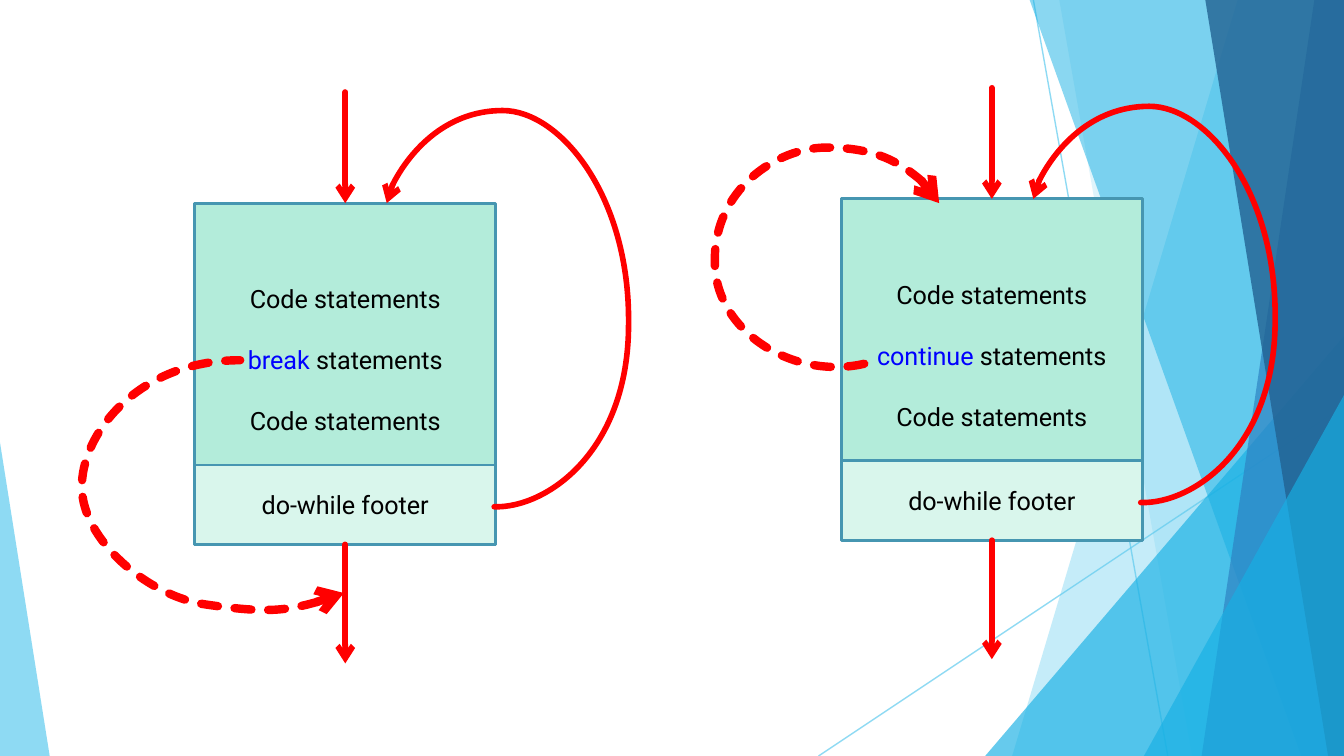
import pptx
import pptx.util
import pptx.dml.color
import pptx.enum.dml
import pptx.enum.shapes
import pptx.enum.text
import pptx.oxml
import pptx.oxml.ns

Cm, Pt = pptx.util.Cm, pptx.util.Pt
RGB = pptx.dml.color.RGBColor
Shape = pptx.enum.shapes.MSO_SHAPE
qn = pptx.oxml.ns.qn

PAGE_W, PAGE_H = 25.4, 14.29
BOX_W, BOX_H, FOOTER_H = 5.69, 6.45, 1.5
FONT = "Roboto"

WHITE = RGB(0xFF, 0xFF, 0xFF)
BLACK = RGB(0, 0, 0)
KEYWORD = RGB(0, 0, 0xFF)
RED = RGB(0xFF, 0, 0)
BODY = RGB(0xB3, 0xEC, 0xDA)
FOOTER = RGB(0xD9, 0xF6, 0xEC)
BORDER = RGB(0x46, 0x96, 0xB1)
SKY = RGB(0x5F, 0xCB, 0xEF)
CYAN = RGB(0x17, 0xB0, 0xE4)
BLUE = RGB(0x2E, 0x83, 0xC3)
NAVY = RGB(0x22, 0x62, 0x92)

# Curves: a start point, then three points for each Bezier segment,
# in cm from the top left corner of the code box
LOOP = [(3.63, 0), (3.66, -0.53), (4.7, -1.75), (5.82, -1.75), (6.91, -1.75),
        (8.23, -0.13), (8.2, 2.29), (8.2, 4.7), (6.65, 5.77), (5.66, 5.74)]
BREAK_JUMP = [(2.82, 7.37), (1.96, 7.7), (1.35, 7.75), (0.23, 7.59), (-0.89, 7.44),
              (-2.13, 6.35), (-2.13, 5.38), (-2.16, 4.42), (-1.12, 2.97), (0.86, 2.97)]
CONTINUE_JUMP = [(1.85, 0.08), (1.65, -0.43), (0.66, -0.97), (-0.28, -0.97),
                 (-1.22, -0.97), (-2.41, -0.18), (-2.39, 1.19), (-2.39, 2.54),
                 (-0.81, 3.51), (0.61, 3.07)]


def set_alpha(fill_parent, percent):
    color = fill_parent.find(qn("a:solidFill"))[0]
    color.append(pptx.oxml.parse_xml(
        f'<a:alpha {pptx.oxml.ns.nsdecls("a")} val="{percent * 1000}"/>'))


def add_line(page, start, end, color, width):
    line = page.shapes.add_connector(
        pptx.enum.shapes.MSO_CONNECTOR.STRAIGHT,
        *(Cm(value) for value in (*start, *end)))
    line.line.color.rgb = color
    line.line.width = Pt(width)
    line._element.spPr.append(pptx.oxml.parse_xml(
        f'<a:effectLst {pptx.oxml.ns.nsdecls("a")}/>'))
    return line


def add_arrowhead(shape, tag):
    outline = shape.line._get_or_add_ln()
    outline.set("cap", "rnd")
    outline.append(pptx.oxml.parse_xml(
        f'<a:{tag} {pptx.oxml.ns.nsdecls("a")} type="arrow"/>'))


def add_arrow(page, start, end):
    add_arrowhead(add_line(page, start, end, RED, 3), "tailEnd")


def build_outline(page, points, close):
    start, *rest = [(Cm(x), Cm(y)) for x, y in points]
    builder = page.shapes.build_freeform(*start)
    builder.add_line_segments(rest, close=close)
    shape = builder.convert_to_shape()
    shape.shadow.inherit = False
    return shape


def add_curve(page, left, top, points, width, dashed=False):
    """Draw a Bezier curve with an arrowhead at its first point."""
    curve = build_outline(page, [(left + x, top + y) for x, y in points], False)
    segments = list(curve._element.iter(qn("a:lnTo")))
    for first in range(0, len(segments), 3):
        trio = segments[first:first + 3]
        bezier = pptx.oxml.parse_xml(f'<a:cubicBezTo {pptx.oxml.ns.nsdecls("a")}/>')
        trio[0].addprevious(bezier)
        for segment in trio:
            bezier.append(segment[0])
            segment.getparent().remove(segment)
    curve.fill.background()
    curve.line.color.rgb = RED
    curve.line.width = Pt(width)
    if dashed:
        curve.line.dash_style = pptx.enum.dml.MSO_LINE.SQUARE_DOT
    add_arrowhead(curve, "headEnd")


def paint_facet(shape, color, alpha):
    shape.shadow.inherit = False
    shape.fill.solid()
    shape.fill.fore_color.rgb = color
    set_alpha(shape._element.spPr, alpha)
    shape.line.fill.background()


def add_band(page, top_x, foot_x, color, alpha):
    """A facet with a slanted left edge that fills up to the right page edge."""
    corners = [(top_x, 0), (PAGE_W, 0), (PAGE_W, PAGE_H), (foot_x, PAGE_H)]
    paint_facet(build_outline(page, corners, True), color, alpha)


def add_corner(page, left, top, right, apex, color, alpha):
    """A triangle that stands on the bottom page edge."""
    corner = page.shapes.add_shape(Shape.ISOSCELES_TRIANGLE, Cm(left), Cm(top),
                                   Cm(right - left), Cm(PAGE_H - top))
    corner.adjustments[0] = apex
    paint_facet(corner, color, alpha)


def add_backdrop(page):
    for start, end in [((19.53, 0), (22.07, PAGE_H)),
                       ((PAGE_W, 7.67), (15.47, PAGE_H))]:
        ray = add_line(page, start, end, SKY, 0.75)
        set_alpha(ray.line._get_or_add_ln(), 70)
    add_band(page, 23.39, 19.13, SKY, 36)
    add_band(page, 20.02, 22.53, SKY, 20)
    add_corner(page, 18.62, 6.35, PAGE_W, 1, CYAN, 66)
    add_band(page, 19.46, 24.59, CYAN, 50)
    add_band(page, 24.84, 22.71, BLUE, 70)
    add_band(page, 22.78, 25.1, NAVY, 80)
    add_corner(page, 21.62, 7.47, PAGE_W, 1, CYAN, 66)
    add_corner(page, 0, 8.36, 0.94, 0, SKY, 70)


def add_box(page, kind, left, top, height, fill, lines):
    """A bordered box; each line is a list of (text, color) spans."""
    box = page.shapes.add_shape(kind, Cm(left), Cm(top), Cm(BOX_W), Cm(height))
    box.shadow.inherit = False
    box.fill.solid()
    box.fill.fore_color.rgb = fill
    box.line.color.rgb = BORDER
    box.line.width = Pt(1.5)
    frame = box.text_frame
    frame.word_wrap = True
    frame.vertical_anchor = pptx.enum.text.MSO_ANCHOR.MIDDLE
    for index, spans in enumerate(lines):
        para = frame.add_paragraph() if index else frame.paragraphs[0]
        para.alignment = pptx.enum.text.PP_ALIGN.CENTER
        para.font.name = FONT
        para.font.size = Pt(13.5)
        if index:
            para.space_before = Pt(16.6)
        for text, color in spans:
            span = para.add_run()
            span.text = text
            span.font.color.rgb = color
    return box


def add_loop_diagram(page, left, top, keyword):
    statement = [("Code statements", BLACK)]
    jump = [(keyword, KEYWORD), (" statements", BLACK)]
    body = add_box(page, Shape.FLOWCHART_PROCESS, left, top, BOX_H, BODY,
                   [statement, jump, statement])
    body.text_frame.margin_bottom = Cm(0.66)
    add_box(page, Shape.RECTANGLE, left, top + BOX_H - FOOTER_H, FOOTER_H, FOOTER,
            [[("do-while footer", BLACK)]])
    # Way out, way in, and the way back to the start
    middle, bottom = left + BOX_W / 2, top + BOX_H
    add_arrow(page, (middle, bottom), (middle, bottom + 2.25))
    add_arrow(page, (middle, top - 2.1), (middle, top))
    add_curve(page, left, top, LOOP, 3)


def main():
    deck = pptx.Presentation()
    deck.slide_width, deck.slide_height = Cm(PAGE_W), Cm(PAGE_H)
    page = deck.slides.add_slide(deck.slide_layouts[6])
    page.background.fill.solid()
    page.background.fill.fore_color.rgb = WHITE

    add_backdrop(page)
    for left, top, keyword, jump in [(3.68, 3.84, "break", BREAK_JUMP),
                                     (15.9, 3.76, "continue", CONTINUE_JUMP)]:
        add_loop_diagram(page, left, top, keyword)
        add_curve(page, left, top, jump, 4.5, dashed=True)
    deck.save("out.pptx")


if __name__ == "__main__":
    main()
